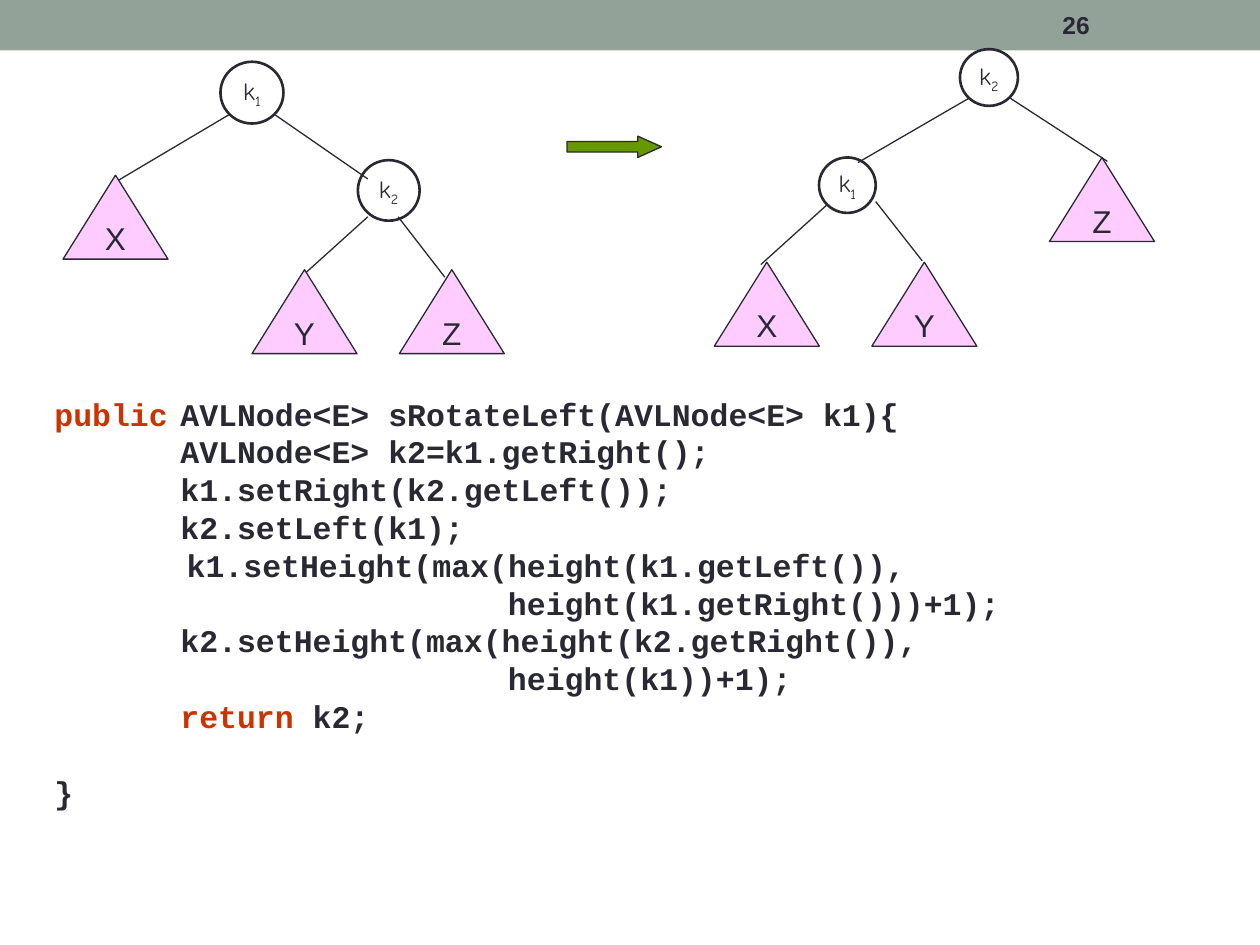
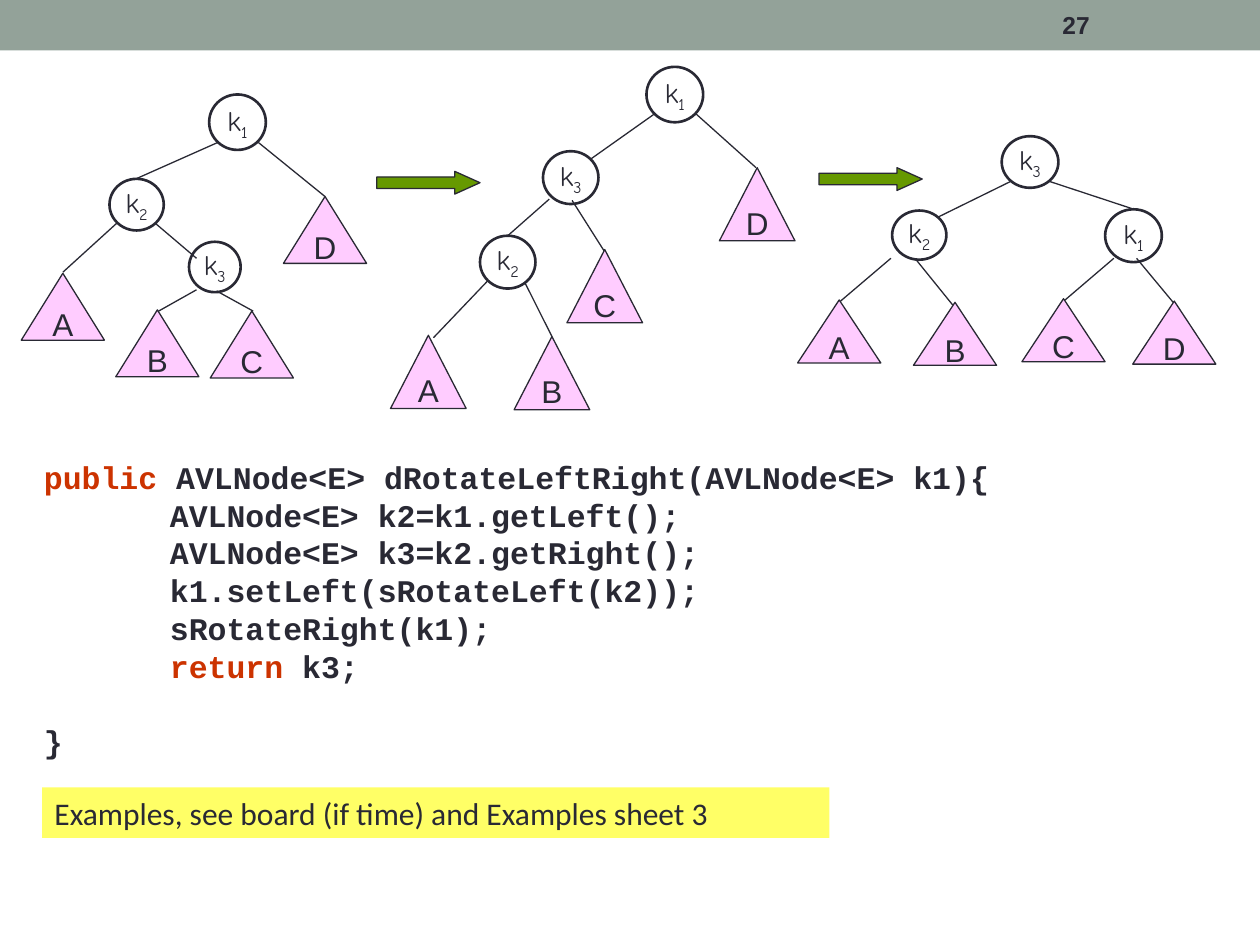
from lxml.etree import SubElement
from pptx import Presentation
from pptx.dml.color import RGBColor
from pptx.enum.shapes import MSO_CONNECTOR, MSO_SHAPE
from pptx.enum.text import MSO_ANCHOR, PP_ALIGN
from pptx.oxml.ns import qn
from pptx.util import Pt

COLORS = {
    "band": "93A299",
    "ink": "292934",
    "leaf": "FFCCFF",
    "arrow": "669900",
    "keyword": "CC3300",
    "code": "FFFFFF",
    "note": "FFFF66",
}
KEYWORDS = ("public", "return")
INDENT = 72
ARGUMENT_INDENT = 259.2
LINE_HEIGHT = 21.6

LEFT_ROTATION_BEFORE = {
    "box": (36, 35.3), "label_size": 14, "leaf_size": (60, 48),
    "nodes": {"1": (90, 0, 36, 35.3), "2": (168.5, 56.2, 35.3, 34.6)},
    "leaves": {"X": (0, 64.8), "Y": (108, 118.8), "Z": (192.2, 118.8)},
    "edges": [(95, 30.2, 31.7, 67.7), (121, 30.2, 174.2, 67),
              (174.2, 88.6, 137.5, 121.7), (191.5, 88.6, 218.2, 123.1)],
}
LEFT_ROTATION_AFTER = {
    "box": (408.2, 28.1), "label_size": 14, "leaf_size": (60, 48),
    "nodes": {"1": (59.8, 61.9, 32.4, 31.7), "2": (140.4, 0, 33.1, 32.4)},
    "leaves": {"X": (0, 121.7), "Y": (90, 121.7), "Z": (191.5, 61.9)},
    "edges": [(145.4, 28.1, 82.1, 64.8), (169.2, 28.1, 224.6, 64.1),
              (92.2, 87.1, 118.8, 121), (64.8, 88.6, 26.6, 123.1)],
}
DOUBLE_ROTATION_BEFORE = {
    "box": (12.2, 54), "label_size": 16, "leaf_size": (47.5, 38.2),
    "nodes": {"1": (107.3, 0, 32.4, 31.7), "2": (50.4, 48.2, 31, 29.5),
              "3": (95.8, 84.2, 29.5, 28.8)},
    "leaves": {"A": (0, 102.2), "B": (54, 123.1),
               "C": (108, 123.8), "D": (149.8, 58.3)},
    "edges": [(112.3, 27.4, 65.5, 48.2), (135.4, 27.4, 173.5, 58.3),
              (76.3, 73.4, 100.1, 93.6), (54.7, 73.4, 23.8, 101.5),
              (100.1, 111.6, 77, 124.6), (111.6, 112.3, 132.5, 123.8)],
}
DOUBLE_ROTATION_MIDDLE = {
    "box": (223.2, 38.2), "label_size": 16, "leaf_size": (43.2, 41.8),
    "nodes": {"1": (146.2, 0, 32.4, 31.7), "2": (51.1, 96.5, 31.7, 30.2),
              "3": (87.1, 48.2, 31.7, 30.2)},
    "leaves": {"A": (0, 153.4), "B": (70.6, 154.1),
               "C": (100.8, 104.4), "D": (187.9, 57.6)},
    "edges": [(151.2, 26.6, 114.5, 52.6), (174.2, 26.6, 208.8, 57.6),
              (90.7, 75.6, 67, 96.5), (103.7, 76.3, 122.4, 105.8),
              (55.4, 122.4, 24.5, 154.8), (77, 123.8, 92.2, 154.1)],
}
DOUBLE_ROTATION_AFTER = {
    "box": (455.8, 77.8), "label_size": 16, "leaf_size": (47.5, 36),
    "nodes": {"1": (175.7, 41.8, 32.4, 30.2), "2": (54, 42.5, 31, 28.1),
              "3": (116.6, 0, 32.4, 29.5)},
    "leaves": {"A": (0, 93.6), "B": (66.2, 95),
               "C": (128.2, 92.9), "D": (191.5, 94.3)},
    "edges": [(121.7, 25.9, 80.6, 46.1), (144, 25.9, 192.2, 41.8),
              (53.3, 69.8, 24.5, 94.3), (67.7, 70.6, 88.6, 96.5),
              (180.7, 69.8, 151.2, 95), (193.7, 69.8, 215.3, 95.8)],
}

SINGLE_ROTATION_CODE = [
    (0, "public\tAVLNode<E> sRotateLeft(AVLNode<E> k1){"),
    (INDENT, "AVLNode<E> k2=k1.getRight();"),
    (INDENT, "k1.setRight(k2.getLeft());"),
    (INDENT, "k2.setLeft(k1);"),
    (75.6, "k1.setHeight(max(height(k1.getLeft()),"),
    (ARGUMENT_INDENT, "height(k1.getRight()))+1);"),
    (INDENT, "k2.setHeight(max(height(k2.getRight()),"),
    (ARGUMENT_INDENT, "height(k1))+1);"),
    (INDENT, "return k2;"),
    (0, "}"),
]
DOUBLE_ROTATION_CODE = [
    (0, "public AVLNode<E> dRotateLeftRight(AVLNode<E> k1){"),
    (INDENT, "AVLNode<E> k2=k1.getLeft();"),
    (INDENT, "AVLNode<E> k3=k2.getRight();"),
    (INDENT, "k1.setLeft(sRotateLeft(k2));"),
    (INDENT, "sRotateRight(k1);"),
    (INDENT, "return k3;"),
    (0, "}"),
]


def color(name):
    return RGBColor.from_string(COLORS[name])


def add_run(paragraph, text, font_name, size, color_name="ink", bold=False):
    run = paragraph.add_run()
    run.text = text
    run.font.name = font_name
    run.font.size = Pt(size)
    run.font.bold = bold
    run.font.color.rgb = color(color_name)
    return run


def add_box(slide, kind, box, fill=None, line_width=None):
    shape = slide.shapes.add_shape(kind, *map(Pt, box))
    shape.shadow.inherit = False
    if fill:
        shape.fill.solid()
        shape.fill.fore_color.rgb = color(fill)
    else:
        shape.fill.background()
    if line_width:
        shape.line.color.rgb = color("ink")
        shape.line.width = Pt(line_width)
    else:
        shape.line.fill.background()
    return shape


def add_edge(slide, start_x, start_y, end_x, end_y):
    connector = slide.shapes.add_connector(
        MSO_CONNECTOR.STRAIGHT, Pt(start_x), Pt(start_y), Pt(end_x), Pt(end_y))
    connector.line.color.rgb = color("ink")
    connector.line.width = Pt(0.75)
    SubElement(connector._element.spPr, qn("a:effectLst"))


def label_paragraph(shape):
    shape.text_frame.word_wrap = False
    shape.text_frame.vertical_anchor = MSO_ANCHOR.MIDDLE
    paragraph = shape.text_frame.paragraphs[0]
    paragraph.alignment = PP_ALIGN.CENTER
    return paragraph


def add_tree(slide, tree):
    left, top = tree["box"]
    for index, (x, y, width, height) in tree["nodes"].items():
        node = add_box(slide, MSO_SHAPE.OVAL,
                       (left + x, top + y, width, height), line_width=1.5)
        paragraph = label_paragraph(node)
        add_run(paragraph, "k", "Comic Neue", tree["label_size"])
        subscript = add_run(paragraph, index, "Comic Neue", tree["label_size"])
        subscript._r.get_or_add_rPr().set("baseline", "-25000")
    for start_x, start_y, end_x, end_y in tree["edges"]:
        add_edge(slide, left + start_x, top + start_y, left + end_x, top + end_y)
    for letter, (x, y) in tree["leaves"].items():
        leaf = add_box(slide, MSO_SHAPE.ISOSCELES_TRIANGLE,
                       (left + x, top + y, *tree["leaf_size"]), "leaf", 0.75)
        add_run(label_paragraph(leaf), letter, "Arial", 18)


def add_arrow(slide, box):
    arrow = add_box(slide, MSO_SHAPE.RIGHT_ARROW, box, "arrow", 0.75)
    arrow.adjustments[0] = 0.5
    arrow.adjustments[1] = 1.11


def add_code(slide, box, lines):
    text_frame = add_box(slide, MSO_SHAPE.RECTANGLE, box, "code").text_frame
    text_frame.word_wrap = True
    text_frame.vertical_anchor = MSO_ANCHOR.TOP
    for number, (indent, line) in enumerate(lines):
        paragraph = text_frame.paragraphs[0] if number == 0 else text_frame.add_paragraph()
        paragraph.alignment = PP_ALIGN.LEFT
        paragraph.line_spacing = Pt(LINE_HEIGHT)
        properties = paragraph._p.get_or_add_pPr()
        properties.set("marL", str(Pt(indent)))
        properties.set("indent", "0")
        keyword = next((word for word in KEYWORDS if line.startswith(word)), "")
        if keyword:
            add_run(paragraph, keyword, "Courier New", 18, "keyword", True)
        add_run(paragraph, line[len(keyword):], "Courier New", 18, bold=True)
        if "\t" in line:
            tab_list = SubElement(properties, qn("a:tabLst"))
            SubElement(tab_list, qn("a:tab"), pos=str(Pt(86.4)), algn="l")
    paragraph.space_before = Pt(LINE_HEIGHT)


def add_note(slide, box, text):
    text_frame = add_box(slide, MSO_SHAPE.RECTANGLE, box, "note").text_frame
    text_frame.word_wrap = True
    text_frame.vertical_anchor = MSO_ANCHOR.MIDDLE
    paragraph = text_frame.paragraphs[0]
    paragraph.alignment = PP_ALIGN.LEFT
    add_run(paragraph, text, "Calibri", 18)


def add_page(presentation, number):
    slide = presentation.slides.add_slide(presentation.slide_layouts[6])
    add_box(slide, MSO_SHAPE.RECTANGLE, (0, 0, 720, 28.8), "band")
    text_frame = slide.shapes.add_textbox(Pt(600), Pt(1.4), Pt(84), Pt(26)).text_frame
    text_frame.word_wrap = True
    text_frame.vertical_anchor = MSO_ANCHOR.MIDDLE
    add_run(text_frame.paragraphs[0], str(number), "Arial", 14, bold=True)
    return slide


def add_single_rotation(presentation):
    slide = add_page(presentation, 26)
    add_tree(slide, LEFT_ROTATION_BEFORE)
    add_arrow(slide, (324, 77.8, 54, 12.2))
    add_tree(slide, LEFT_ROTATION_AFTER)
    add_code(slide, (24, 222, 678, 247), SINGLE_ROTATION_CODE)


def add_double_rotation(presentation):
    slide = add_page(presentation, 27)
    for tree in (DOUBLE_ROTATION_BEFORE, DOUBLE_ROTATION_MIDDLE, DOUBLE_ROTATION_AFTER):
        add_tree(slide, tree)
    for left, top in ((215.3, 97.9), (468, 95.8)):
        add_arrow(slide, (left, top, 59, 13))
    add_code(slide, (18, 258, 648, 181.5), DOUBLE_ROTATION_CODE)
    add_note(slide, (24, 450, 450, 28.8),
             "Examples, see board (if time) and Examples sheet 3")


def main():
    presentation = Presentation()
    presentation.slide_width = Pt(720)
    presentation.slide_height = Pt(540)
    add_single_rotation(presentation)
    add_double_rotation(presentation)
    presentation.save("out.pptx")


if __name__ == "__main__":
    main()
